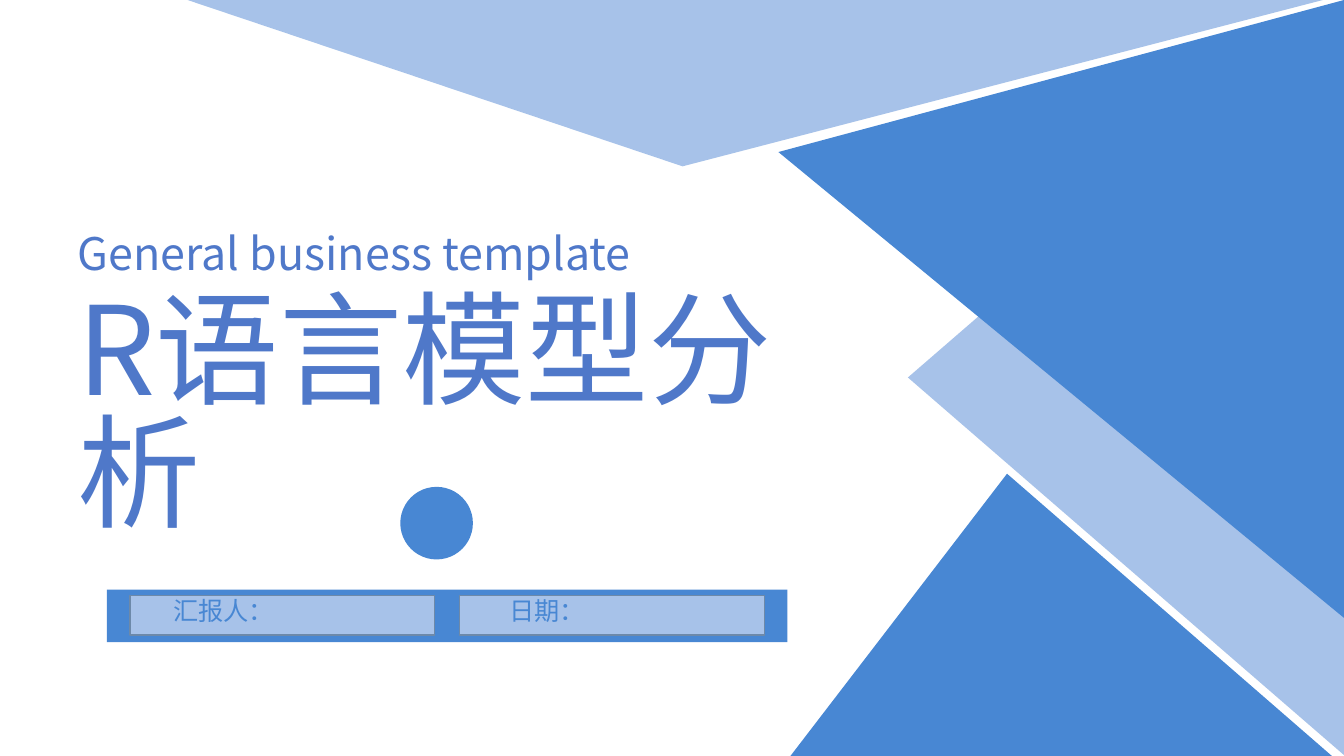
from pptx import Presentation
from pptx.dml.color import RGBColor
from pptx.enum.shapes import MSO_SHAPE
from pptx.enum.text import MSO_ANCHOR, MSO_AUTO_SIZE, PP_ALIGN
from pptx.oxml.ns import qn
from pptx.util import Inches, Pt
from lxml import etree

FONT = "Noto Sans CJK SC"
BLUE = RGBColor(0x48, 0x87, 0xD3)
LIGHT = RGBColor(0xA7, 0xC2, 0xE9)
TEXT_BLUE = RGBColor(0x4F, 0x78, 0xC9)
BORDER = RGBColor(0x6D, 0x89, 0xA9)


def add_shape(kind, box, fill, rotation=0, adj=None, line=None):
    sp = s.shapes.add_shape(kind, *[Inches(v) for v in box])
    sp.shadow.inherit = False
    sp.rotation = rotation
    sp.fill.solid()
    sp.fill.fore_color.rgb = fill
    if adj is not None:
        sp.adjustments[0] = adj
    if line is None:
        sp.line.fill.background()
    else:
        sp.line.color.rgb = line
        sp.line.width = Pt(1)


def set_text(sp, box, text, size, color, wrap=False):
    sp.left, sp.top, sp.width, sp.height = [Inches(v) for v in box]
    tf = sp.text_frame
    tf.text = text
    tf.word_wrap = wrap
    tf.auto_size = MSO_AUTO_SIZE.NONE
    tf.vertical_anchor = MSO_ANCHOR.TOP
    p = tf.paragraphs[0]
    p.alignment = PP_ALIGN.LEFT
    p.line_spacing = 0.83
    p.space_before = Pt(0)
    r = p.runs[0]
    r.font.size = Pt(size)
    r.font.name = FONT
    r.font.color.rgb = color
    etree.SubElement(r.font._element, qn("a:ea"), typeface=FONT)


prs = Presentation()
prs.slide_width, prs.slide_height = Inches(13.33), Inches(7.5)
s = prs.slides.add_slide(prs.slide_layouts[0])

title, subtitle = s.placeholders
set_text(title, (0.67, 2.78, 8.14, 1.58), "R语言模型分析", 88, TEXT_BLUE, wrap=True)
title.text_frame.margin_top = Inches(0.17)
set_text(subtitle, (0.67, 2.28, 6.66, 0.64), "General business template", 32, TEXT_BLUE)

TRIANGLE = MSO_SHAPE.ISOSCELES_TRIANGLE
for box, fill, rotation, adj in [
    ((7.42, 1.58, 7.5, 4.33), LIGHT, 270, 0.5),
    ((7.46, 0.26, 6.13, 5.61), BLUE, 270, 0.754),
    ((7.84, 4.7, 5.37, 2.8), BLUE, 0, 0.4),
    ((1.86, 0, 11.26, 1.65), LIGHT, 180, 0.564),
]:
    add_shape(TRIANGLE, box, fill, rotation, adj)

add_shape(MSO_SHAPE.RECTANGLE, (1.06, 5.85, 6.75, 0.52), BLUE)
for left, label_left, width, label in [
    (1.29, 1.62, 1.2, "汇报人："),
    (4.56, 4.95, 0.95, "日期："),
]:
    add_shape(MSO_SHAPE.RECTANGLE, (left, 5.91, 3.02, 0.39), LIGHT, line=BORDER)
    tb = s.shapes.add_textbox(0, 0, 0, 0)
    set_text(tb, (label_left, 5.91, width, 0.4), label, 18, BLUE)

add_shape(MSO_SHAPE.OVAL, (3.97, 4.83, 0.72, 0.72), BLUE)
prs.save("out.pptx")
